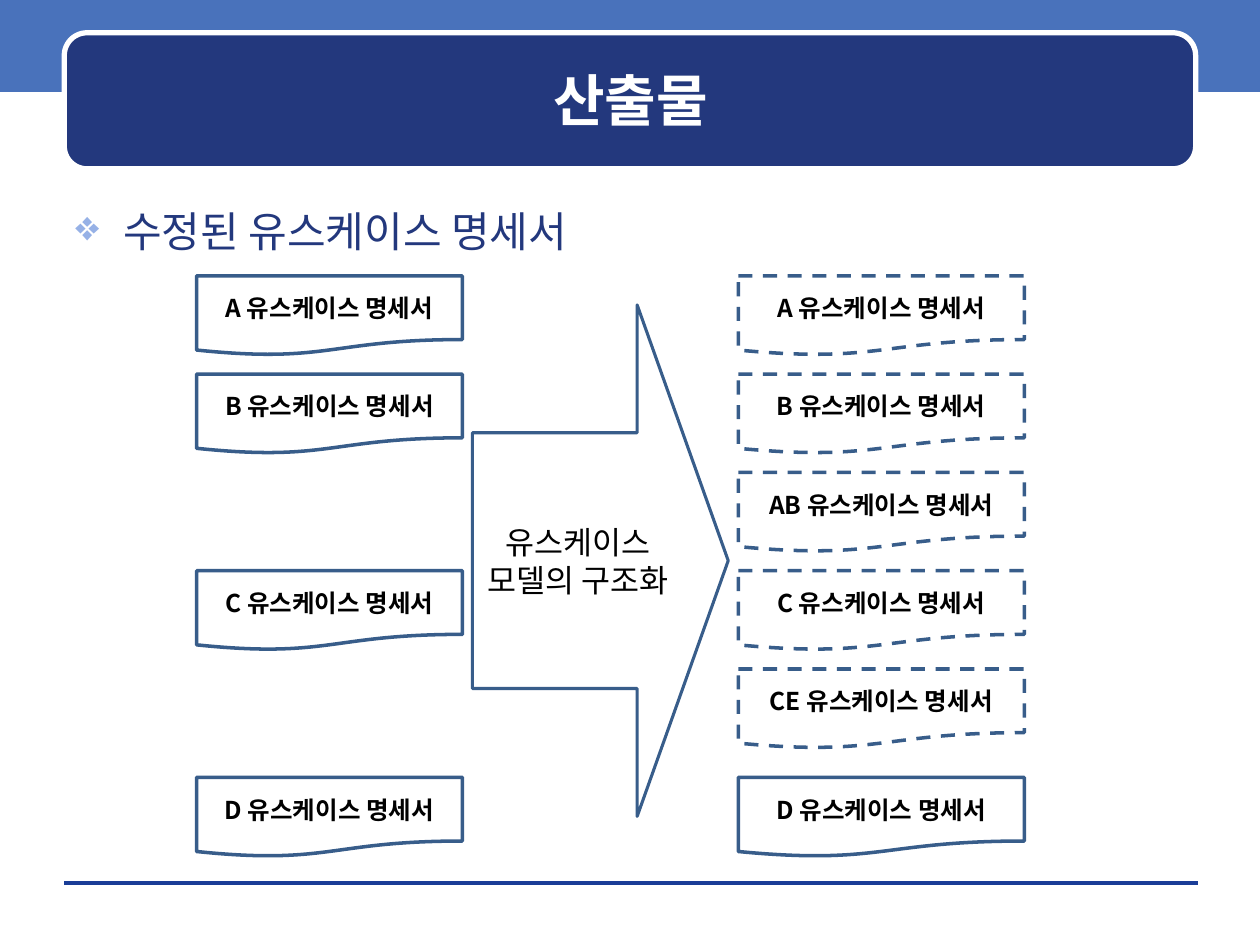
from lxml import etree
from pptx import Presentation
from pptx.dml.color import RGBColor
from pptx.enum.dml import MSO_LINE_DASH_STYLE as Dash
from pptx.enum.shapes import MSO_CONNECTOR, MSO_SHAPE as Shape
from pptx.enum.text import MSO_ANCHOR as Anchor, PP_ALIGN as Align
from pptx.oxml.ns import qn
from pptx.util import Inches, Pt

COLORS = {
    "band": "4972BB", "navy": "23387D", "rule": "1A3D97", "outline": "385D8A",
    "bullet": "96B1E6", "white": "FFFFFF", "black": "000000",
}
FONT = "Noto Sans CJK KR"
ROW_TOP, ROW_STEP, LAST_TOP = 2.19, 0.78, 6.17
DOC_HEIGHT = 0.63


def color(name):
    return RGBColor.from_string(COLORS[name])


def write(box, text, size, ink="black", bold=False, align=Align.CENTER,
          anchor=Anchor.MIDDLE, side=0.1, bullet=None):
    frame = box.text_frame
    frame.word_wrap = True
    frame.vertical_anchor = anchor
    frame.margin_left = frame.margin_right = Inches(side)
    frame.margin_top = frame.margin_bottom = Inches(0.05)
    for index, line in enumerate(text.split("\n")):
        para = frame.add_paragraph() if index else frame.paragraphs[0]
        para.alignment = align
        para.space_before = Pt(0)
        if bullet:
            add_bullet(para, bullet)
        span = para.add_run()
        span.text = line
        span.font.name = FONT
        span.font.size = Pt(size)
        span.font.bold = bold
        span.font.color.rgb = color(ink)
        east_asian = etree.SubElement(span.font._element, qn("a:ea"))
        east_asian.set("typeface", FONT)


def add_bullet(para, mark):
    props = para._p.get_or_add_pPr()
    props.set("marL", str(Inches(0.38)))
    props.set("indent", str(-Inches(0.38)))
    tint = etree.SubElement(props, qn("a:buClr"))
    etree.SubElement(tint, qn("a:srgbClr")).set("val", COLORS["bullet"])
    etree.SubElement(props, qn("a:buChar")).set("char", mark)


def add_box(page, kind, left, top, width, height, fill=None, line=None, weight=1):
    box = page.shapes.add_shape(
        kind, Inches(left), Inches(top), Inches(width), Inches(height))
    box.shadow.inherit = False
    if fill:
        box.fill.solid()
        box.fill.fore_color.rgb = color(fill)
    else:
        box.fill.background()
    if line:
        box.line.color.rgb = color(line)
        box.line.width = Pt(weight)
    else:
        box.line.fill.background()
    return box


def add_header(page, left, top, width, height):
    add_box(page, Shape.RECTANGLE, 0, -0.03, 10, 0.76, fill="band")
    panel = add_box(page, Shape.ROUNDED_RECTANGLE, left, top, width, height,
                    fill="navy", line="white", weight=3)
    panel.adjustments[0] = 0.167
    title = page.shapes.title
    title.left, title.top = Inches(left + 0.09), Inches(top + 0.09)
    title.width, title.height = Inches(width - 0.17), Inches(height - 0.2)
    write(title, "산출물", 32, ink="white", bold=True)
    # Bring the title in front of its panel
    title.element.getparent().append(title.element)


def add_footer_rule(page, left, top, width):
    rule = page.shapes.add_connector(
        MSO_CONNECTOR.STRAIGHT, Inches(left), Inches(top),
        Inches(left + width), Inches(top))
    rule.line.color.rgb = color("rule")
    rule.line.width = Pt(0)
    etree.SubElement(rule._element.spPr, qn("a:effectLst"))


def add_heading(page, left, top, width, height):
    box = page.shapes.add_textbox(
        Inches(left), Inches(top), Inches(width), Inches(height))
    write(box, "수정된 유스케이스 명세서", 24, ink="navy", align=Align.LEFT,
          anchor=Anchor.TOP, bullet="❖")


def add_process_arrow(page, left, top, width, height):
    arrow = add_box(page, Shape.RIGHT_ARROW, left, top, width, height,
                    line="outline", weight=1.75)
    arrow.adjustments[0] = 0.5
    arrow.adjustments[1] = 0.356
    write(arrow, "유스케이스\n모델의 구조화", 18, side=0)


def add_documents(page, left, width, rows, dashed=False):
    """Place one document per (name, row); the final one, D, is always solid."""
    places = [(name, ROW_TOP + row * ROW_STEP, dashed) for name, row in rows]
    for name, top, is_dashed in places + [("D", LAST_TOP, False)]:
        document = add_box(page, Shape.FLOWCHART_DOCUMENT, left, top, width,
                           DOC_HEIGHT, line="outline", weight=2)
        if is_dashed:
            document.line.dash_style = Dash.DASH
        write(document, f"{name} 유스케이스 명세서", 14, bold=True)


def main():
    deck = Presentation()
    deck.slide_width, deck.slide_height = Inches(10), Inches(7.5)
    page = deck.slides.add_slide(deck.slide_layouts[5])
    # Frame of the slide
    add_footer_rule(page, 0.51, 7.01, 9)
    add_header(page, 0.51, 0.26, 8.98, 1.08)
    # Specifications before and after structuring
    add_heading(page, 0.5, 1.58, 9, 5.33)
    add_process_arrow(page, 3.75, 2.42, 2.03, 4.06)
    add_documents(page, 1.56, 2.11, [("A", 0), ("B", 1), ("C", 3)])
    after = ["A", "B", "AB", "C", "CE"]
    add_documents(page, 5.86, 2.27,
                  [(name, row) for row, name in enumerate(after)], dashed=True)
    deck.save("out.pptx")


if __name__ == "__main__":
    main()
